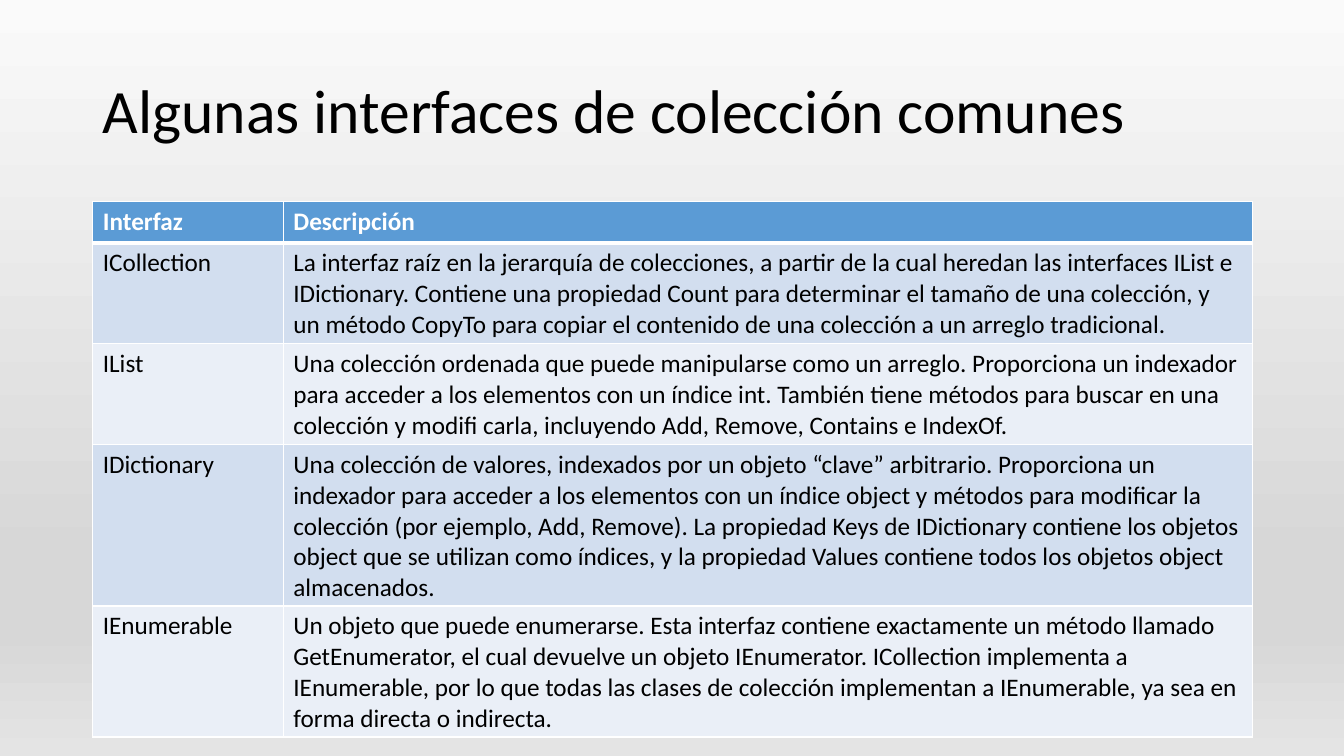
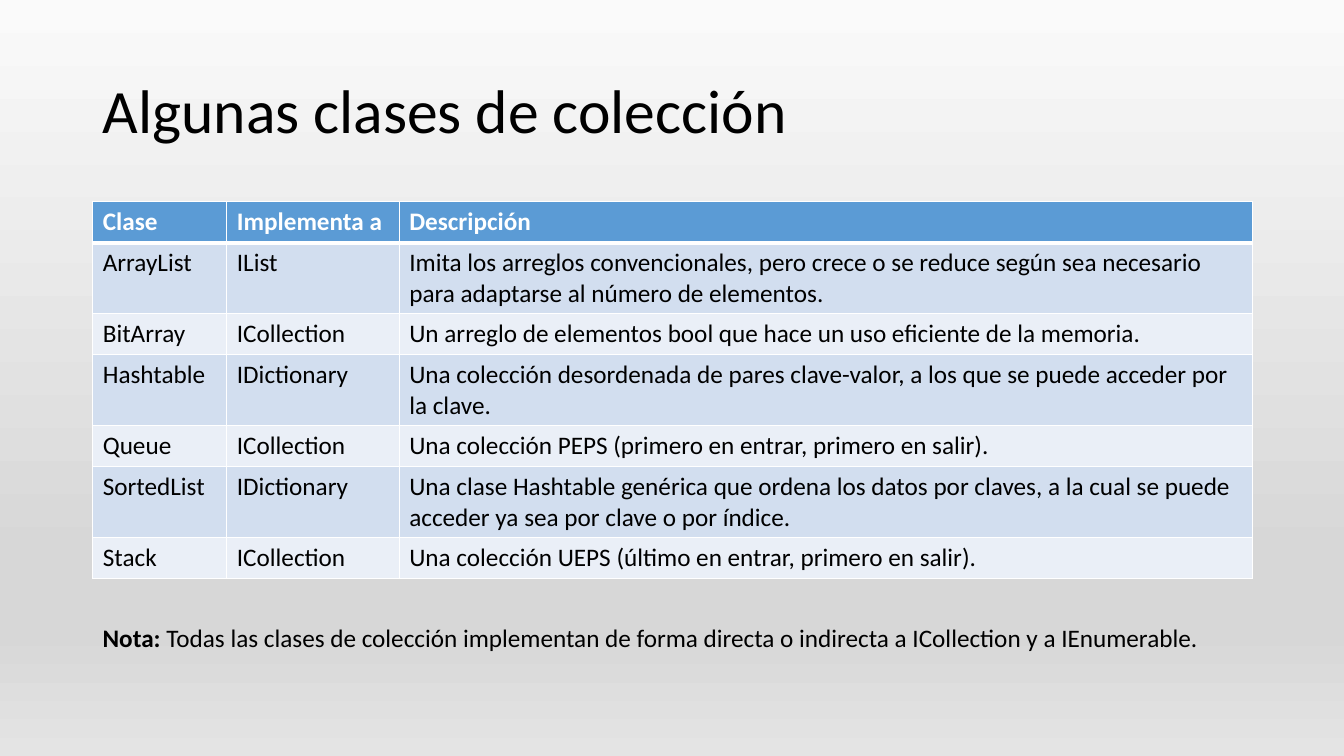
from dataclasses import dataclass

from lxml import etree
from pptx import Presentation
from pptx.dml.color import RGBColor
from pptx.enum.text import MSO_ANCHOR, MSO_AUTO_SIZE
from pptx.oxml.ns import qn
from pptx.util import Inches, Pt

SLIDES = [
    {
        "title": "Algunas interfaces de colección comunes",
        "columns": [1.89, 9.61],
        "rows": [
            ("Interfaz", "Descripción"),
            ("ICollection",
             "La interfaz raíz en la jerarquía de colecciones, a partir de la cual heredan las "
             "interfaces IList e IDictionary. Contiene una propiedad Count para determinar el "
             "tamaño de una colección, y un método CopyTo para copiar el contenido de una "
             "colección a un arreglo tradicional."),
            ("IList",
             "Una colección ordenada que puede manipularse como un arreglo. Proporciona un "
             "indexador para acceder a los elementos con un índice int. También tiene métodos "
             "para buscar en una colección y modifi carla, incluyendo Add, Remove, Contains e "
             "IndexOf."),
            ("IDictionary",
             "Una colección de valores, indexados por un objeto “clave” arbitrario. Proporciona "
             "un indexador para acceder a los elementos con un índice object y métodos para "
             "modificar la colección (por ejemplo, Add, Remove). La propiedad Keys de "
             "IDictionary contiene los objetos object que se utilizan como índices, y la "
             "propiedad Values contiene todos los objetos object almacenados."),
            ("IEnumerable",
             "Un objeto que puede enumerarse. Esta interfaz contiene exactamente un método "
             "llamado GetEnumerator, el cual devuelve un objeto IEnumerator. ICollection "
             "implementa a IEnumerable, por lo que todas las clases de colección implementan a "
             "IEnumerable, ya sea en forma directa o indirecta."),
        ],
    },
    {
        "title": "Algunas clases de colección",
        "columns": [1.33, 1.71, 8.46],
        "rows": [
            ("Clase", "Implementa a", "Descripción"),
            ("ArrayList", "IList",
             "Imita los arreglos convencionales, pero crece o se reduce según sea necesario "
             "para adaptarse al número de elementos."),
            ("BitArray", "ICollection",
             "Un arreglo de elementos bool que hace un uso eficiente de la memoria."),
            ("Hashtable", "IDictionary",
             "Una colección desordenada de pares clave-valor, a los que se puede acceder por "
             "la clave."),
            ("Queue", "ICollection",
             "Una colección PEPS (primero en entrar, primero en salir)."),
            ("SortedList", "IDictionary",
             "Una clase Hashtable genérica que ordena los datos por claves, a la cual se puede "
             "acceder ya sea por clave o por índice."),
            ("Stack", "ICollection",
             "Una colección UEPS (último en entrar, primero en salir)."),
        ],
        "note": ("Nota: ",
                 "Todas las clases de colección implementan de forma directa o indirecta a "
                 "ICollection y a IEnumerable."),
    },
]


@dataclass(frozen=True)
class Theme:
    font: str = "Calibri"
    title_size: int = 44
    body_size: int = 18
    text: str = "000000"
    white: str = "FFFFFF"
    header: str = "5B9BD5"
    bands: tuple = ("D2DEEF", "EAEFF7")
    backdrop: tuple = ((0, "FAFAFA"), (74, "D7D7D7"), (83, "D7D7D7"), (100, "E4E4E4"))
    thin: int = 1
    thick: int = 3


T = Theme()
LEFT, WIDTH = 0.92, 11.5
TABLE_TOP, ROW_HEIGHT = 2, 0.41


def add_text(p, text, size=T.body_size, color=T.text, bold=False):
    r = p.add_run()
    r.text = text
    r.font.name = T.font
    r.font.size = Pt(size)
    r.font.bold = bold
    r.font.color.rgb = RGBColor.from_string(color)


def add_box(s, top, width, height):
    tf = s.shapes.add_textbox(Inches(LEFT), Inches(top), Inches(width), Inches(height)).text_frame
    tf.word_wrap = True
    return tf


def set_backdrop(master):
    fill = master.background.fill
    fill.gradient()
    fill.gradient_angle = 270
    stops = master.element.xpath("p:cSld/p:bg//a:gsLst")[0]
    for stop in list(stops):
        stops.remove(stop)
    for percent, color in T.backdrop:
        stop = etree.SubElement(stops, qn("a:gs"), pos=str(percent * 1000))
        etree.SubElement(stop, qn("a:srgbClr"), val=color)


def set_borders(cell, top, bottom):
    """Draw white cell edges; top and bottom are widths in points."""
    tc_pr = cell._tc.get_or_add_tcPr()
    edges = (("a:lnL", T.thin), ("a:lnR", T.thin), ("a:lnT", top), ("a:lnB", bottom))
    for i, (tag, width) in enumerate(edges):
        ln = etree.Element(qn(tag), w=str(Pt(width)))
        fill = etree.SubElement(ln, qn("a:solidFill"))
        etree.SubElement(fill, qn("a:srgbClr"), val=T.white)
        tc_pr.insert(i, ln)


def add_title(s, text):
    tf = add_box(s, 0.4, WIDTH, 1.45)
    tf.vertical_anchor = MSO_ANCHOR.MIDDLE
    p = tf.paragraphs[0]
    p.line_spacing = 0.9
    add_text(p, text, size=T.title_size)


def add_grid(s, columns, rows):
    table = s.shapes.add_table(len(rows), len(columns), Inches(LEFT), Inches(TABLE_TOP),
                               Inches(WIDTH), Inches(ROW_HEIGHT * len(rows))).table
    for column, width in zip(table.columns, columns):
        column.width = Inches(width)
    for i, row in enumerate(rows):
        is_header = i == 0
        table.rows[i].height = Inches(ROW_HEIGHT)
        for j, text in enumerate(row):
            cell = table.cell(i, j)
            cell.fill.solid()
            cell.fill.fore_color.rgb = RGBColor.from_string(
                T.header if is_header else T.bands[(i - 1) % 2])
            set_borders(cell, top=T.thick if i == 1 else T.thin,
                        bottom=T.thick if is_header else T.thin)
            add_text(cell.text_frame.paragraphs[0], text, bold=is_header,
                     color=T.white if is_header else T.text)


def add_note(s, label, text):
    tf = add_box(s, 6.12, 11.43, 0.4)
    tf.auto_size = MSO_AUTO_SIZE.SHAPE_TO_FIT_TEXT
    p = tf.paragraphs[0]
    add_text(p, label, bold=True)
    add_text(p, text)


def main():
    prs = Presentation()
    prs.slide_width, prs.slide_height = Inches(13.33), Inches(7.5)
    set_backdrop(prs.slide_master)
    for content in SLIDES:
        s = prs.slides.add_slide(prs.slide_layouts[6])
        add_title(s, content["title"])
        add_grid(s, content["columns"], content["rows"])
        if "note" in content:
            add_note(s, *content["note"])
    prs.save("out.pptx")


if __name__ == "__main__":
    main()
